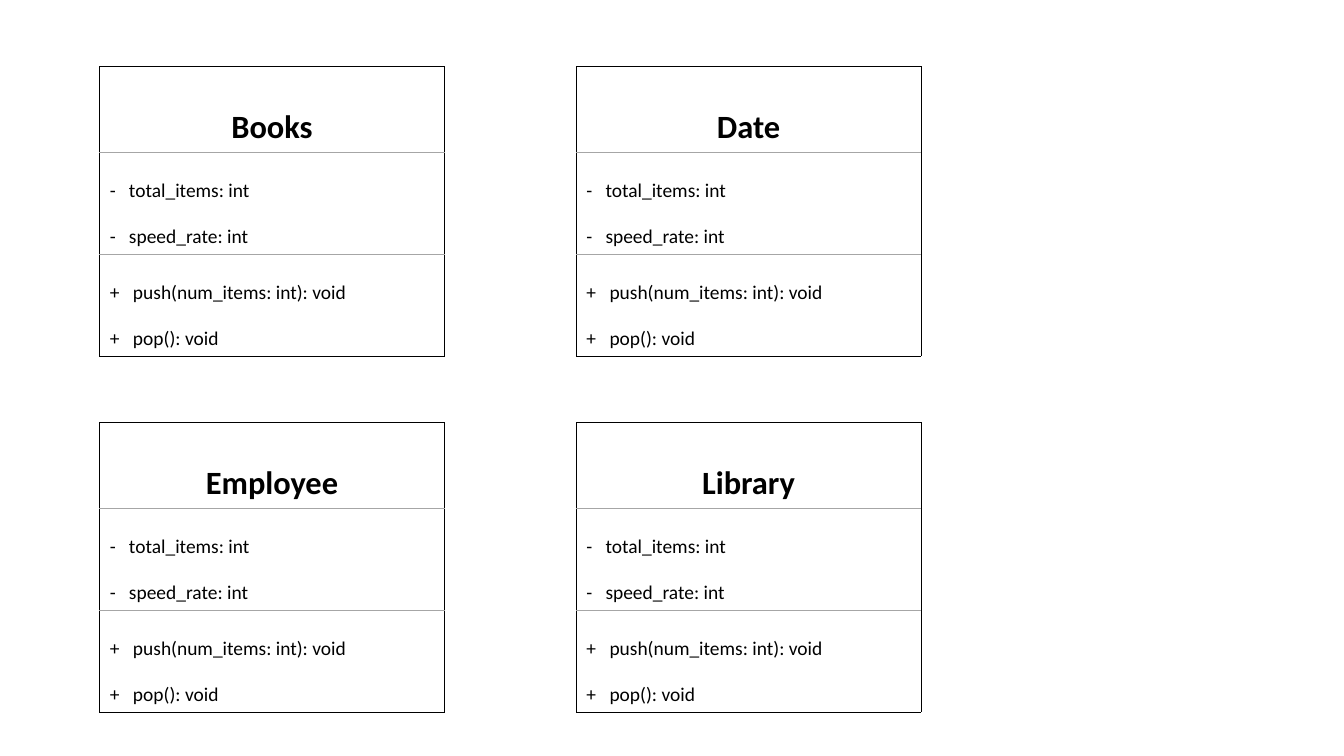
from dataclasses import dataclass

from lxml import etree
from pptx import Presentation
from pptx import util as u
from pptx.dml.color import RGBColor
from pptx.enum import text
from pptx.oxml import ns


@dataclass(frozen=True)
class Theme:
    font: str = "Calibri"
    ink: str = "000000"
    rule: str = "A6A6A6"
    paper: str = "FFFFFF"
    head: int = 40
    body: int = 24
    edge: float = 0.45
    thin: float = 0.23
    drop: int = -25000


@dataclass(frozen=True)
class Grid:
    left: float = 0.99
    top: float = 0.66
    pitch_x: float = 4.73
    pitch_y: float = 3.53
    width: float = 3.42
    rows: tuple = (0.76, 1.01, 1.01)


THEME = Theme()
GRID = Grid()

# Class name, grid column, grid row
CLASSES = [("Employee", 0, 1), ("Date", 1, 0), ("Books", 0, 0), ("Library", 1, 1)]

# Marker, tab stop in inches, members
PARTS = [
    ("-", 0.19, ["total_items: int", "speed_rate: int"]),
    ("+", 0.23, ["push(num_items: int): void", "pop(): void"]),
]


def add_node(parent, tag, **attrs):
    node = etree.SubElement(parent, ns.qn(tag))
    for key, value in attrs.items():
        node.set(key, str(value))
    return node


def add_run(para, words, size, bold):
    run = para.add_run()
    run.text = words
    font = run.font
    font.name, font.size, font.bold = THEME.font, u.Pt(size), bold
    font.color.rgb = RGBColor.from_string(THEME.ink)
    font._element.set("baseline", str(THEME.drop))


def set_tab(para, stop):
    tabs = add_node(para._p.get_or_add_pPr(), "a:tabLst")
    add_node(tabs, "a:tab", pos=u.Inches(stop), algn="l")


def style_cell(cell, first, last):
    """Dark outer edges, pale rules between the parts, plain fill."""
    dark, pale = (THEME.ink, THEME.edge), (THEME.rule, THEME.thin)
    edges = {"L": dark, "R": dark, "T": dark if first else pale,
             "B": dark if last else pale}
    props = cell._tc.get_or_add_tcPr()
    for side, (color, width) in edges.items():
        line = add_node(props, f"a:ln{side}", w=u.Pt(width))
        fill = add_node(line, "a:solidFill")
        add_node(fill, "a:srgbClr", val=color)
    cell.fill.solid()
    cell.fill.fore_color.rgb = RGBColor.from_string(THEME.paper)


def fill_part(cell, mark, stop, items):
    frame = cell.text_frame
    for i, item in enumerate(items):
        para = frame.add_paragraph() if i else frame.paragraphs[0]
        set_tab(para, stop)
        add_run(para, f"{mark}\t{item}", THEME.body, False)


def add_class(slide, name, col, row):
    count = len(GRID.rows)
    table = slide.shapes.add_table(
        count, 1,
        u.Inches(GRID.left + col * GRID.pitch_x),
        u.Inches(GRID.top + row * GRID.pitch_y),
        u.Inches(GRID.width), u.Inches(sum(GRID.rows))).table
    table.first_row = table.horz_banding = False
    for i, height in enumerate(GRID.rows):
        table.rows[i].height = u.Inches(height)
        style_cell(table.cell(i, 0), i == 0, i == count - 1)

    # Class name
    para = table.cell(0, 0).text_frame.paragraphs[0]
    para.alignment = text.PP_ALIGN.CENTER
    add_run(para, name, THEME.head, True)

    # Attributes and methods
    for i, part in enumerate(PARTS, 1):
        fill_part(table.cell(i, 0), *part)


def main():
    deck = Presentation()
    deck.slide_width, deck.slide_height = u.Inches(13.34), u.Inches(7.5)
    slide = deck.slides.add_slide(deck.slide_layouts.get_by_name("Blank"))
    for item in CLASSES:
        add_class(slide, *item)
    deck.save("out.pptx")


if __name__ == "__main__":
    main()
